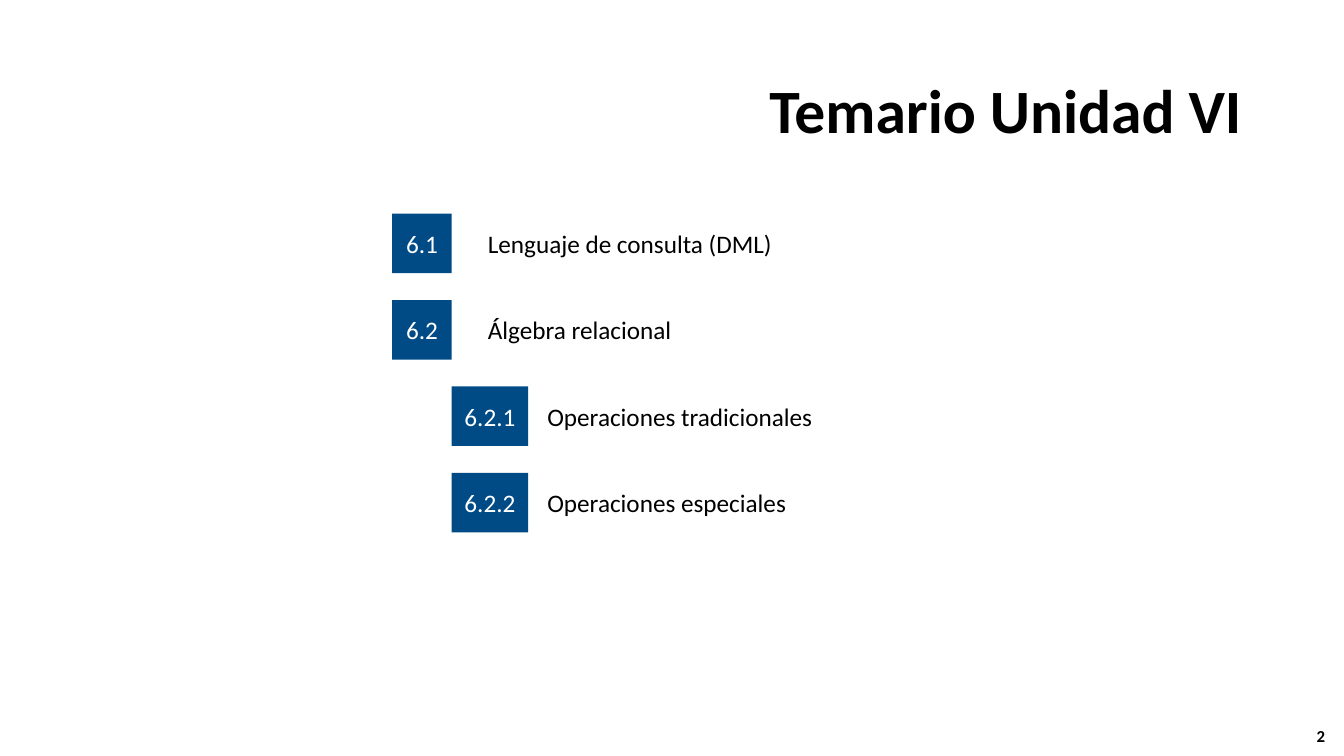
from pptx import Presentation
from pptx.dml.color import RGBColor
from pptx.enum.shapes import MSO_SHAPE
from pptx.enum.text import MSO_ANCHOR, PP_ALIGN
from pptx.util import Inches, Pt

RECT = MSO_SHAPE.RECTANGLE
MIDDLE = MSO_ANCHOR.MIDDLE
LEFT, CENTER, RIGHT = PP_ALIGN.LEFT, PP_ALIGN.CENTER, PP_ALIGN.RIGHT
WIDE, HIGH = 13.33, 7.5
BLUE, WHITE, BLACK = "004B85", "FFFFFF", "000000"
SIDE, PITCH = 0.59, 0.857
TOPICS = [
    ("6.1", "Lenguaje de consulta (DML)"),
    ("6.2", "Álgebra relacional"),
    ("6.2.1", "Operaciones tradicionales"),
    ("6.2.2", "Operaciones especiales"),
]


def color(code):
    """Turn a hex string into a colour."""
    return RGBColor.from_string(code)


def write(slide, box, text, size=18, ink=BLACK, bold=False, align=LEFT,
          fill=None, space=1.0):
    """Put text in a box, filled when a fill colour is given."""
    place = [Inches(side) for side in box]
    if fill:
        shape = slide.shapes.add_shape(RECT, *place)
        shape.shadow.inherit = False
        shape.fill.solid()
        shape.fill.fore_color.rgb = color(fill)
        shape.line.fill.background()
    else:
        shape = slide.shapes.add_textbox(*place)
    frame = shape.text_frame
    frame.word_wrap = True
    frame.vertical_anchor = MIDDLE
    para = frame.paragraphs[0]
    para.alignment = align
    para.line_spacing = space
    run = para.add_run()
    run.text = text
    font = run.font
    font.name, font.size, font.bold = "Calibri", Pt(size), bold
    font.color.rgb = color(ink)


def head(slide, box):
    """Write the slide title."""
    write(slide, box, "Temario Unidad VI", size=44, bold=True, align=RIGHT,
          space=0.9)


def topics(slide, box):
    """Stack the numbered topics, with subtopics one step to the right."""
    left, top, width, _ = box
    for row, (code, name) in enumerate(TOPICS):
        sub = code.count(".") > 1
        x = left + SIDE * sub
        y = top + PITCH * row
        badge = 0.76 if sub else SIDE
        write(slide, (x, y, badge, SIDE), code, ink=WHITE, align=CENTER,
              fill=BLUE)
        write(slide, (x + 0.85, y, width - 0.85, SIDE), name)


def number(slide, box):
    """Write the page number."""
    write(slide, box, "2", size=12, bold=True, align=CENTER)


def main():
    """Build the slide and save it."""
    deck = Presentation()
    deck.slide_width, deck.slide_height = Inches(WIDE), Inches(HIGH)
    slide = deck.slides.add_slide(deck.slide_layouts[6])
    head(slide, (0.92, 0.4, 11.5, 1.45))
    topics(slide, (3.89, 2.12, 7.8, 3.16))
    number(slide, (WIDE - 0.46, HIGH - 0.4, 0.46, 0.4))
    deck.save("out.pptx")


if __name__ == "__main__":
    main()
